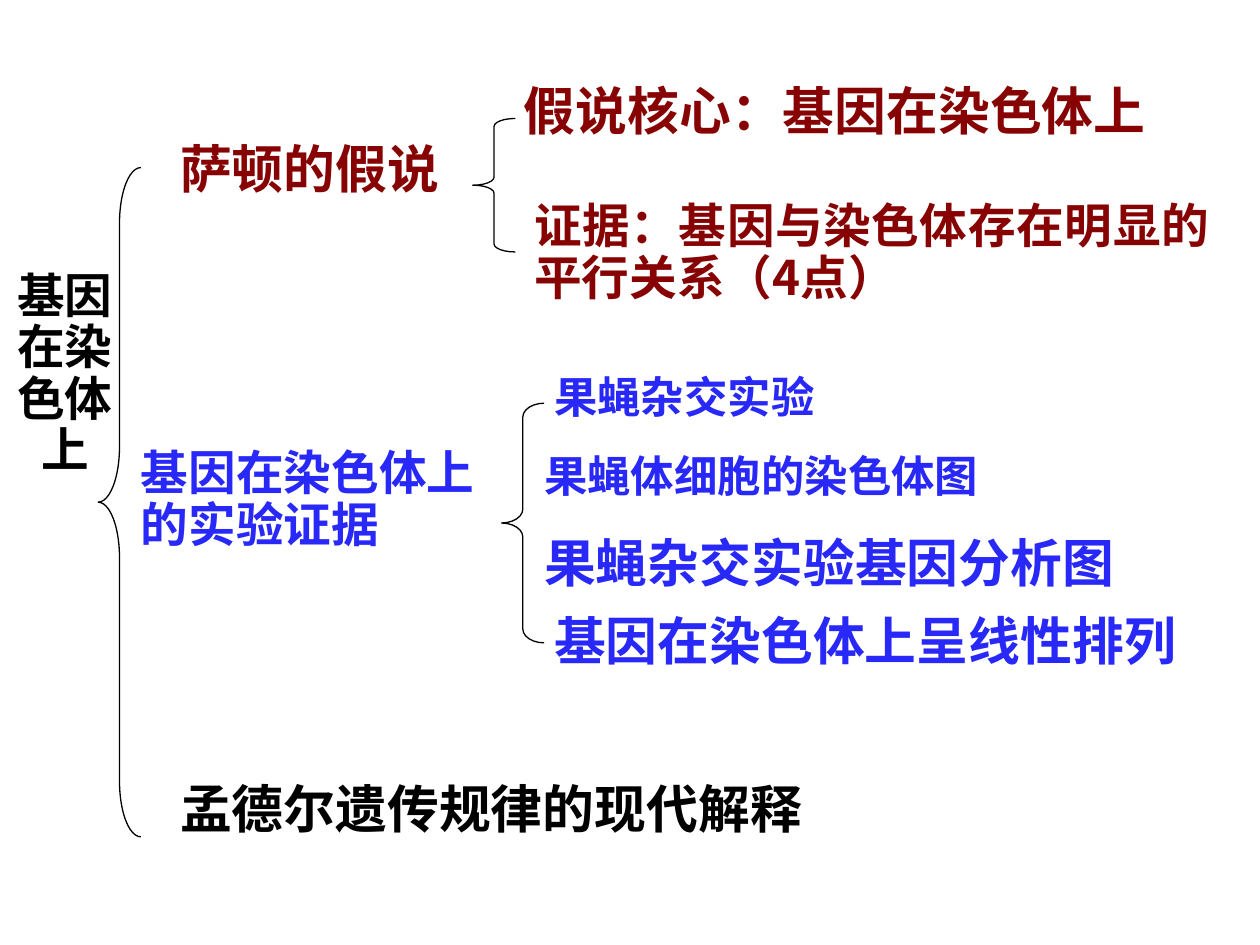
import dataclasses

import pptx
import pptx.dml.color
import pptx.enum.shapes
import pptx.enum.text
import pptx.util
import lxml.etree

Cm = pptx.util.Cm
ALIGN = pptx.enum.text.PP_ALIGN
DRAWING = "http://schemas.openxmlformats.org/drawingml/2006/main"


@dataclasses.dataclass(frozen=True)
class Theme:
    font: str = "Noto Sans CJK SC"
    serif: str = "Times New Roman"
    black: str = "000000"
    red: str = "870303"
    blue: str = "2828F8"
    large: float = 29.6
    medium: float = 27.2
    small: float = 24.8
    brace_line: float = 0.75
    brace_width: float = 0.86


THEME = Theme()


def apply(target, values):
    for name, value in values.items():
        setattr(target, name, value)


def add_text(slide, box, runs, color, size=THEME.large, alignment=ALIGN.JUSTIFY, spacing=0.9):
    """Place one bold paragraph; runs is a string or (text, Latin font) pairs."""
    shape = slide.shapes.add_textbox(*(Cm(length) for length in box))
    shape.text_frame.word_wrap = True
    paragraph = shape.text_frame.paragraphs[0]
    apply(paragraph, {"alignment": alignment, "line_spacing": spacing})
    if isinstance(runs, str):
        runs = [(runs, THEME.font)]
    for text, font_name in runs:
        run = paragraph.add_run()
        run.text = text
        apply(run.font, {"name": font_name, "size": pptx.util.Pt(size), "bold": True})
        run.font.color.rgb = pptx.dml.color.RGBColor.from_string(color)
        # East Asian typeface follows the Latin one
        latin = run.font._element.find(f"{{{DRAWING}}}latin")
        east_asian = lxml.etree.Element(f"{{{DRAWING}}}ea", typeface=THEME.font)
        latin.addnext(east_asian)


def add_brace(slide, left, top, height, curve):
    """Place a left brace whose corners are curve centimetres high."""
    width = THEME.brace_width
    shape = slide.shapes.add_shape(
        pptx.enum.shapes.MSO_SHAPE.LEFT_BRACE, Cm(left), Cm(top), Cm(width), Cm(height))
    shape.adjustments[0] = curve / width
    shape.shadow.inherit = False
    shape.fill.background()
    shape.line.width = pptx.util.Pt(THEME.brace_line)
    shape.line.color.rgb = pptx.dml.color.RGBColor.from_string(THEME.black)


def add_topic(slide, left, top):
    """Root topic and the brace over its three branches."""
    add_text(slide, (left, top + 1.98, 2.62, 8.05), "基因在染色体上",
             THEME.black, THEME.medium, ALIGN.CENTER)
    add_brace(slide, left + 1.98, top, 13.49, 1.12)


def add_hypothesis(slide, left, top):
    """Sutton's hypothesis with its core and evidence."""
    add_text(slide, (left, top + 1.17, 6.96, 1.6), "萨顿的假说", THEME.red)
    add_brace(slide, left + 6.15, top + 0.79, 2.69, 0.16)
    add_text(slide, (left + 6.93, top, 14.48, 1.6), "假说核心：基因在染色体上", THEME.red)
    evidence = [("证据：基因与染色体存在明", THEME.serif), ("显的平行关系（4点）", THEME.font)]
    add_text(slide, (left + 7.14, top + 2.36, 14.1, 2.69), evidence, THEME.red, THEME.medium)


def add_experiments(slide, left, top):
    """Experimental evidence with four evenly spaced items."""
    add_text(slide, (left, top + 1.4, 8.13, 2.54), "基因在染色体上的实验证据",
             THEME.blue, THEME.medium, ALIGN.LEFT)
    add_brace(slide, left + 7.52, top + 0.59, 4.83, 0.28)
    items = [
        ("果蝇杂交实验", 8.33, 7.82, THEME.small, 0.8),
        ("果蝇体细胞的染色体图", 8.13, 12.7, THEME.small, 0.8),
        ("果蝇杂交实验基因分析图", 8.13, 13.28, THEME.large, 0.9),
        ("基因在染色体上呈线性排列", 8.33, 14.3, THEME.large, 0.9),
    ]
    for index, (text, indent, width, size, spacing) in enumerate(items):
        height = 1.6 if size == THEME.large else 1.4
        add_text(slide, (left + indent, top + 1.585 * index, width, height),
                 text, THEME.blue, size, spacing=spacing)


def add_modern_view(slide, left, top):
    """Modern reading of Mendel's laws."""
    add_text(slide, (left, top, 14.35, 1.6), "孟德尔遗传规律的现代解释", THEME.black)


def main():
    presentation = pptx.Presentation()
    apply(presentation, {"slide_width": Cm(25.4), "slide_height": Cm(19.05)})
    slide = presentation.slides.add_slide(presentation.slide_layouts[6])
    add_topic(slide, 0, 3.38)
    add_hypothesis(slide, 3.38, 1.6)
    add_experiments(slide, 2.59, 7.54)
    add_modern_view(slide, 3.38, 15.67)
    presentation.save("out.pptx")


if __name__ == "__main__":
    main()
